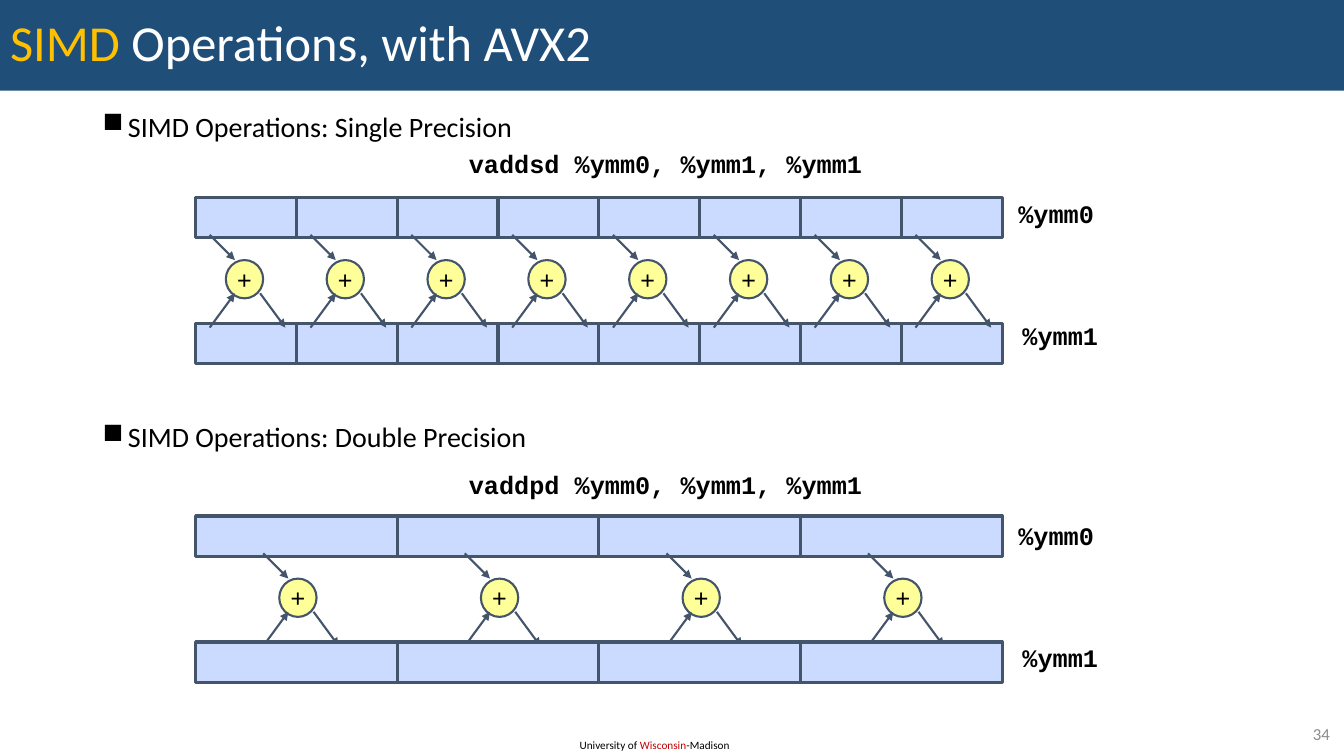
from dataclasses import dataclass
from lxml import etree
from pptx import Presentation, util as u
from pptx.dml.color import RGBColor
from pptx.enum import shapes, text
from pptx.oxml import ns


@dataclass
class Theme:
    banner: str = "1F4E79"
    gold: str = "FFC000"
    white: str = "FFFFFF"
    black: str = "000000"
    red: str = "C00000"
    grey: str = "8C8C8C"
    edge: str = "44546A"
    lane: str = "CBDBFF"
    adder: str = "FFFF99"
    sans: str = "Calibri"
    mono: str = "Courier New"
    title: int = 36
    body: int = 20
    code: int = 18
    page: int = 12
    foot: int = 8


theme = Theme()
rgb = RGBColor.from_string
deck = Presentation()
deck.slide_width, deck.slide_height = u.Inches(13.33), u.Inches(7.5)
slide = deck.slides.add_slide(deck.slide_layouts[5])
items = slide.shapes


def write(box, parts, size, font=theme.sans, bold=False,
          align=text.PP_ALIGN.LEFT, inset=None, wrap=True):
    frame = box.text_frame
    frame.auto_size = text.MSO_AUTO_SIZE.NONE
    frame.word_wrap = wrap
    if inset is not None:
        frame.margin_left = frame.margin_right = u.Inches(inset)
        frame.margin_top = frame.margin_bottom = u.Inches(inset)
    line = frame.paragraphs[0]
    line.alignment = align
    for words, color in parts:
        run = line.add_run()
        run.text = words
        run.font.name, run.font.size, run.font.bold = font, u.Pt(size), bold
        run.font.color.rgb = rgb(color)
    return frame


def draw(kind, left, top, wide, high, fill, width):
    shape = items.add_shape(kind, u.Inches(left), u.Inches(top),
                            u.Inches(wide), u.Inches(high))
    shape.shadow.inherit = False
    shape.fill.solid()
    shape.fill.fore_color.rgb = rgb(fill)
    shape.line.color.rgb = rgb(theme.edge)
    shape.line.width = u.Pt(width)
    return shape


title = items.title
title.left, title.top = u.Inches(0), u.Inches(0)
title.width, title.height = deck.slide_width, u.Inches(0.9)
title.fill.solid()
title.fill.fore_color.rgb = rgb(theme.banner)
frame = write(title, [("SIMD", theme.gold), (" Operations, with AVX2", theme.white)],
              theme.title)
frame.vertical_anchor = text.MSO_ANCHOR.MIDDLE
frame.paragraphs[0].line_spacing = 0.9

foot = items.add_textbox(u.Inches(5.65), u.Inches(7.28), u.Inches(1.72), u.Inches(0.24))
write(foot, [("University of ", theme.black), ("Wisconsin", theme.red),
             ("-Madison", theme.black)], theme.foot)
page = items.add_textbox(u.Inches(12.53), u.Inches(7.13), u.Inches(0.76), u.Inches(0.29))
frame = write(page, [("34", theme.grey)], theme.page, align=text.PP_ALIGN.RIGHT)
frame.vertical_anchor = text.MSO_ANCHOR.MIDDLE

body = items.add_textbox(u.Inches(0.42), u.Inches(1.07), u.Inches(9.09), u.Inches(5.88))
frame = body.text_frame
frame.word_wrap = True
frame.text = "SIMD Operations: Single Precision\nSIMD Operations: Double Precision"
for line, gap in zip(frame.paragraphs, (0, 200)):
    props = line._p.get_or_add_pPr()
    props.set("marL", str(u.Inches(0.75)))
    props.set("indent", str(u.Inches(-0.25)))
    etree.SubElement(props, ns.qn("a:buChar")).set("char", "■")
    line.line_spacing = 0.9
    line.space_before = u.Pt(gap)
    font = line.runs[0].font
    font.name, font.size = theme.sans, u.Pt(theme.body)
    font.color.rgb = rgb(theme.black)

left, span, drop = 1.94, 8, 1.25
arrows = [(-0.16, 0.37, 0.09, 0.62), (-0.16, 1.29, 0.09, 0.95), (0.34, 0.95, 0.59, 1.29)]
blocks = [
    ("vaddsd %ymm0, %ymm1, %ymm1", 8, 1.96, 1.42, 0.3, ("low", "add")),
    ("vaddpd %ymm0, %ymm1, %ymm1", 4, 5.12, 4.61, 0.83, ("add", "low")),
]
for code, count, top, head, shift, order in blocks:
    pitch = span / count
    for layer in ("high",) + order:
        for lane in range(count):
            x = left + lane * pitch
            if layer != "add":
                y = top + drop if layer == "low" else top
                draw(shapes.MSO_SHAPE.RECTANGLE, x, y, pitch, 0.4, theme.lane, 2.25)
                continue
            x += shift
            plus = draw(shapes.MSO_SHAPE.OVAL, x, top + 0.62, 0.37, 0.38, theme.adder, 1.5)
            frame = write(plus, [("+", theme.black)], theme.code, theme.mono,
                          align=text.PP_ALIGN.CENTER, inset=0.05, wrap=False)
            frame.vertical_anchor = text.MSO_ANCHOR.MIDDLE
            for ax, ay, bx, by in arrows:
                link = items.add_connector(
                    shapes.MSO_CONNECTOR.STRAIGHT, u.Inches(x + ax), u.Inches(top + ay),
                    u.Inches(x + bx), u.Inches(top + by))
                link.line.color.rgb = rgb(theme.edge)
                link.line.width = u.Pt(1.5)
                tip = etree.SubElement(link.line._get_or_add_ln(), ns.qn("a:tailEnd"))
                tip.set("type", "triangle")
                etree.SubElement(link._element.spPr, ns.qn("a:effectLst"))
    labels = [(code, 4.6, head, 4.02), ("%ymm0", 10.05, head + 0.5, 0.85),
              ("%ymm1", 10.09, head + 1.71, 0.85)]
    for words, x, y, wide in labels:
        label = items.add_textbox(u.Inches(x), u.Inches(y), u.Inches(wide), u.Inches(0.4))
        write(label, [(words, theme.black)], theme.code, theme.mono, True,
              inset=0.05, wrap=False)

deck.save("out.pptx")
